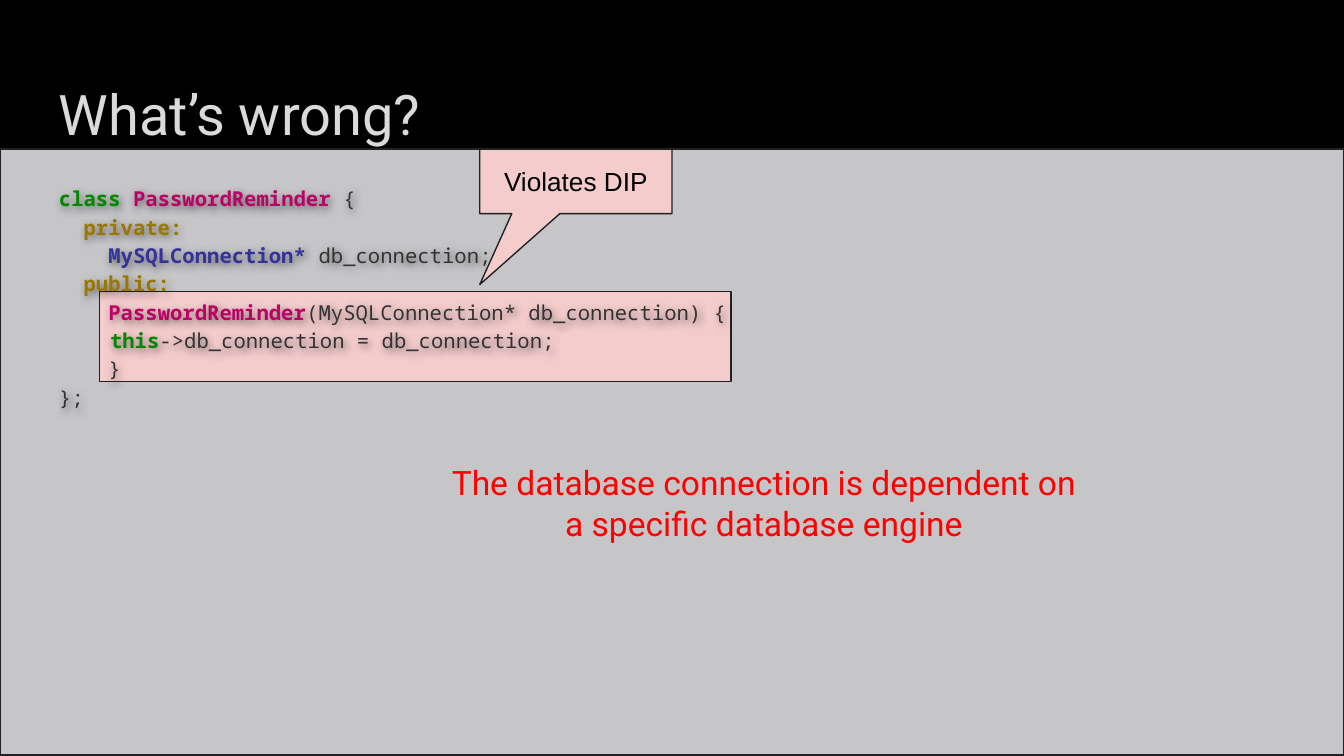
from lxml import etree
from pptx import Presentation
from pptx.dml.color import RGBColor
from pptx.enum.shapes import MSO_SHAPE as Preset
from pptx.enum.text import MSO_ANCHOR as Anchor, PP_ALIGN as Align
from pptx.oxml import parse_xml
from pptx.oxml.ns import nsdecls, qn
from pptx.util import Inches, Pt

PANEL, PINK, EDGE = "C6C6C9", "F4CCCC", "212123"
TITLE, PLAIN, WARNING = "DADADA", "333333", "FF0000"
KEYWORD, CLASS, ACCESS, TYPE = "008800", "BB0066", "997700", "333399"
BREAK = ("\n", PLAIN)

CODE = [
    [("class ", KEYWORD), ("PasswordReminder", CLASS), (" {", PLAIN)],
    [("  ", PLAIN), ("private:", ACCESS)],
    [("    ", PLAIN), ("MySQLConnection* ", TYPE), ("db_connection;", PLAIN)],
    [("  ", PLAIN), ("public:", ACCESS)],
    [("    ", PLAIN), ("PasswordReminder", CLASS),
     ("(MySQLConnection* db_connection) { ", PLAIN), BREAK,
     ("\t", PLAIN), ("this", KEYWORD),
     ("->db_connection = db_connection;", PLAIN), BREAK, ("    }", PLAIN)],
    [("};", PLAIN)],
]


def color(value):
    """Turn a hex string into a colour."""
    return RGBColor.from_string(value)


def add_box(slide, box, fill, line_width, preset=Preset.RECTANGLE):
    """Add a filled, outlined shape without a shadow."""
    shape = slide.shapes.add_shape(preset, *map(Inches, box))
    shape.shadow.inherit = False
    shape.fill.solid()
    shape.fill.fore_color.rgb = color(fill)
    shape.line.color.rgb = color(EDGE)
    shape.line.width = Pt(line_width)
    return shape


def set_frame(shape, margin=0.1, anchor=Anchor.TOP):
    """Wrap the text, set its margins and return the text frame."""
    frame = shape.text_frame
    frame.word_wrap = True
    frame.vertical_anchor = anchor
    frame.margin_left = frame.margin_right = Inches(0.1)
    frame.margin_top = frame.margin_bottom = Inches(margin)
    return frame


def add_run(paragraph, text, font, size, value, bold=False):
    """Add one styled run to a paragraph."""
    run = paragraph.add_run()
    run.text = text
    run.font.name = font
    run.font.size = Pt(size)
    run.font.bold = bold
    run.font.color.rgb = color(value)


def add_label(frame, text, font, size, value, align=Align.CENTER):
    """Write a single paragraph into a text frame."""
    paragraph = frame.paragraphs[0]
    paragraph.alignment = align
    add_run(paragraph, text, font, size, value)


def add_text_shadow(shape):
    """Give the text of an unfilled box a soft shadow."""
    shape.fill.background()
    shape._element.spPr.append(parse_xml(
        f'<a:effectLst {nsdecls("a")}>'
        '<a:outerShdw blurRad="50800" dist="19050" dir="3600000" algn="tl" rotWithShape="0">'
        '<a:srgbClr val="000000"><a:alpha val="50000"/></a:srgbClr>'
        '</a:outerShdw></a:effectLst>'))


def add_title(slide, box):
    """Add the slide heading."""
    shape = slide.shapes.add_textbox(*map(Inches, box))
    add_label(set_frame(shape), "What’s wrong?", "Roboto", 30, TITLE, Align.LEFT)


def add_code(slide, box):
    """Add the highlighted listing, with a tab stop at the body indent."""
    left, top, width, height = box
    add_box(slide, (left + 0.4, top + 0.91, 4.7, 0.67), PINK, 0.75)
    shape = slide.shapes.add_textbox(*map(Inches, box))
    add_text_shadow(shape)
    frame = set_frame(shape)
    for index, line in enumerate(CODE):
        paragraph = frame.add_paragraph() if index else frame.paragraphs[0]
        paragraph.line_spacing = 1.15
        tabs = etree.SubElement(paragraph._p.get_or_add_pPr(), qn("a:tabLst"))
        etree.SubElement(tabs, qn("a:tab"), pos=str(Inches(0.38)), algn="l")
        for token in line:
            if token == BREAK:
                paragraph.add_line_break()
                paragraph._p[-1].append(parse_xml(f'<a:rPr {nsdecls("a")} sz="1100"/>'))
            else:
                text, value = token
                add_run(paragraph, text, "Noto Sans Mono", 11, value, value != PLAIN)


def add_callout(slide, box):
    """Add the callout that points at the constructor."""
    shape = add_box(slide, box, PINK, 0.75, Preset.RECTANGULAR_CALLOUT)
    shape.adjustments[0] = -0.5
    shape.adjustments[1] = 1.6
    frame = set_frame(shape, anchor=Anchor.MIDDLE)
    add_label(frame, "Violates DIP", "Arial", 14, "000000")


def add_explanation(slide, box):
    """Add the red remark below the listing."""
    shape = slide.shapes.add_textbox(*map(Inches, box))
    add_label(set_frame(shape, 0.05),
              "The database connection is dependent on a specific database engine",
              "Roboto", 18, WARNING)


def main():
    """Build and save the slide."""
    presentation = Presentation()
    presentation.slide_width = Inches(10)
    presentation.slide_height = Inches(10 * 9 / 16)
    slide = presentation.slides.add_slide(presentation.slide_layouts[6])
    slide.background.fill.solid()
    slide.background.fill.fore_color.rgb = color("000000")
    add_box(slide, (0, 1.11, 10, 4.51), PANEL, 1.25)
    add_title(slide, (0.34, 0.49, 9.32, 0.63))
    add_code(slide, (0.34, 1.26, 9.32, 1.85))
    add_callout(slide, (3.57, 1.11, 1.43, 0.48))
    add_explanation(slide, (3.18, 3.39, 5.01, 0.71))
    presentation.save("out.pptx")


if __name__ == "__main__":
    main()
